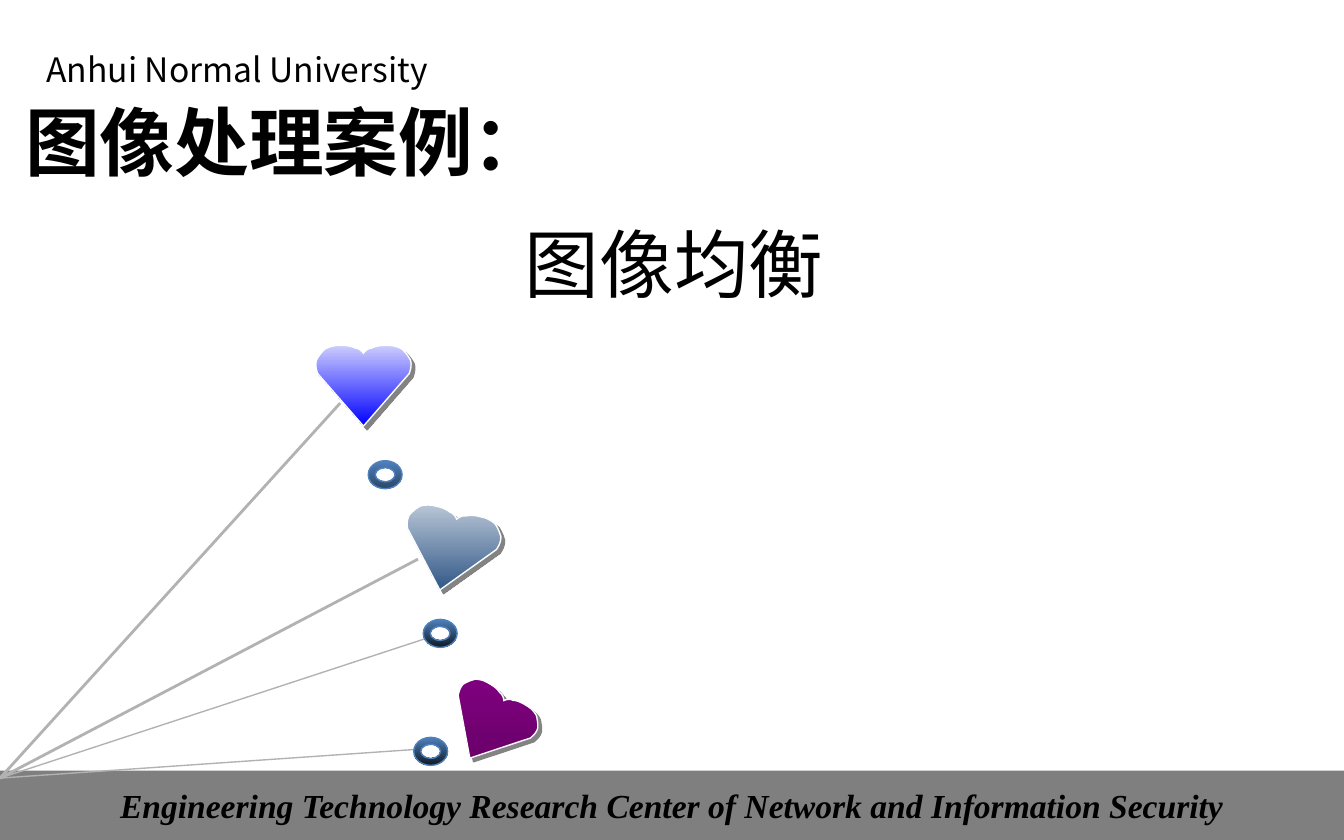
from lxml import etree
from pptx import Presentation
from pptx.dml.color import RGBColor as RGB
from pptx.enum.shapes import MSO_CONNECTOR as Link, MSO_SHAPE as Form
from pptx.enum.text import MSO_ANCHOR as Anchor, PP_ALIGN as Align
from pptx.oxml import parse_xml
from pptx.oxml.ns import nsdecls, qn
from pptx.util import Cm, Pt

LOBE = [(36, 6), (35, 4), (32, 2), (30, 2), (26, 0), (22, 0), (18, 0),
        (14, 0), (10, 1), (7, 3), (4, 6), (2, 9), (1, 11), (0, 15), (1, 18), (2, 21)]
SHADE = """<a:effectLst %s><a:outerShdw dist="35560" dir="2700000" algn="ctr" rotWithShape="0">
<a:srgbClr val="080808"><a:alpha val="50000"/></a:srgbClr></a:outerShdw></a:effectLst>"""


def color(code):
    return RGB.from_string(code)


def curve(dots, steps=8):
    out = [dots[0]]
    for i in range(0, len(dots) - 1, 3):
        a, b, c, d = dots[i:i + 4]
        for n in range(1, steps + 1):
            t = n / steps
            u = 1 - t
            out.append(tuple(u**3 * p + 3 * u * u * t * q + 3 * u * t * t * r + t**3 * s
                             for p, q, r, s in zip(a, b, c, d)))
    return out


class Board:
    ink, gray, rim = "000000", "B2B2B2", "4F81BD"
    sans = "Noto Sans CJK SC"

    def __init__(self, slide):
        self.slide = slide
        self.items = slide.shapes

    def letter(self, shape, text, size, font, align=Align.LEFT, bold=False, slant=False):
        frame = shape.text_frame
        frame.word_wrap = True
        frame.vertical_anchor = Anchor.MIDDLE
        para = frame.paragraphs[0]
        para.alignment = align
        run = para.add_run()
        run.text = text
        face = run.font
        face.name, face.size, face.bold, face.italic = font, Pt(size), bold, slant
        face.color.rgb = color(self.ink)
        etree.SubElement(run._r.get_or_add_rPr(), qn("a:ea")).set("typeface", self.sans)

    def label(self, box, *args, **style):
        self.letter(self.items.add_textbox(*map(Cm, box)), *args, **style)

    def bar(self, box, fill, *args, **style):
        shape = self.items.add_shape(Form.RECTANGLE, *map(Cm, box))
        shape.shadow.inherit = False
        shape.fill.solid()
        shape.fill.fore_color.rgb = color(fill)
        shape.line.fill.background()
        self.letter(shape, *args, **style)

    def ray(self, start, end, width):
        line = self.items.add_connector(Link.STRAIGHT, *map(Cm, start + end))
        line.line.color.rgb = color(self.gray)
        line.line.width = Pt(width)
        etree.SubElement(line._element.spPr, qn("a:effectLst"))

    def blend(self, shape, top, low, rim, angle=270):
        shape.shadow.inherit = False
        shape.fill.gradient()
        shape.fill.gradient_angle = angle
        for stop, code in zip(shape.fill.gradient_stops, (top, low)):
            stop.color.rgb = color(code)
        shape.line.color.rgb = color(rim)
        shape.line.width = Pt(0.75)

    def ring(self, x, y, low):
        shape = self.items.add_shape(Form.DONUT, Cm(x), Cm(y), Cm(0.64), Cm(0.53))
        self.blend(shape, self.rim, low, self.rim)

    def heart(self, x, y, width, turn, top, low):
        left = curve(LOBE)
        right = [(72 - a, b) for a, b in reversed(left)]
        dots = [(round(a * 100), round(b * 100)) for a, b in left + [(36, 60)] + right]
        pen = self.items.build_freeform(*dots[0], scale=Cm(width) / 7200)
        pen.add_line_segments(dots[1:], close=True)
        shape = pen.convert_to_shape()
        shape.left, shape.top = Cm(x), Cm(y)
        shape.rotation = turn
        self.blend(shape, top, low, "FEFFFF", 270 + turn)
        props = shape._element.spPr
        props.replace(props.find(qn("a:effectLst")), parse_xml(SHADE % nsdecls("a")))


def main():
    deck = Presentation()
    deck.slide_width, deck.slide_height = Cm(25.4), Cm(15.88)
    board = Board(deck.slides.add_slide(deck.slide_layouts[6]))

    board.label((0.63, 0.79, 8, 1.02), "Anhui Normal University", 18, board.sans)
    board.bar((0, 14.57, 25.4, 1.31), "7F7F7F",
              "Engineering Technology Research Center of Network and Information Security",
              18, "Times New Roman", align=Align.CENTER, bold=True, slant=True)

    hub = (0, 14.71)
    for tip, width in [((7.82, 14.17), 0.75), ((8.05, 12.07), 0.75),
                       ((6.43, 7.62), 1.5), ((7.9, 10.57), 1.5)]:
        board.ray(tip, hub, width)

    for x, y, low in [(6.96, 8.71, "2B4666"), (8, 11.71, "0F1924"), (7.82, 13.94, "0F1924")]:
        board.ring(x, y, low)

    for heart in [(7.59, 9.65, 1.83, 13.4, "BFCBDA", "1F497D"),
                  (8.41, 13.03, 1.68, 30.6, "800080", "650065"),
                  (5.97, 6.53, 1.83, 0, "CCCCFF", "0000FF")]:
        board.heart(*heart)

    board.label((0.23, 1.83, 18.67, 1.65), "图像处理案例：", 40, board.sans, bold=True)
    board.label((2.29, 4.14, 20.9, 1.65), "图像均衡", 40, "Calibri", align=Align.CENTER)
    deck.save("out.pptx")


if __name__ == "__main__":
    main()
